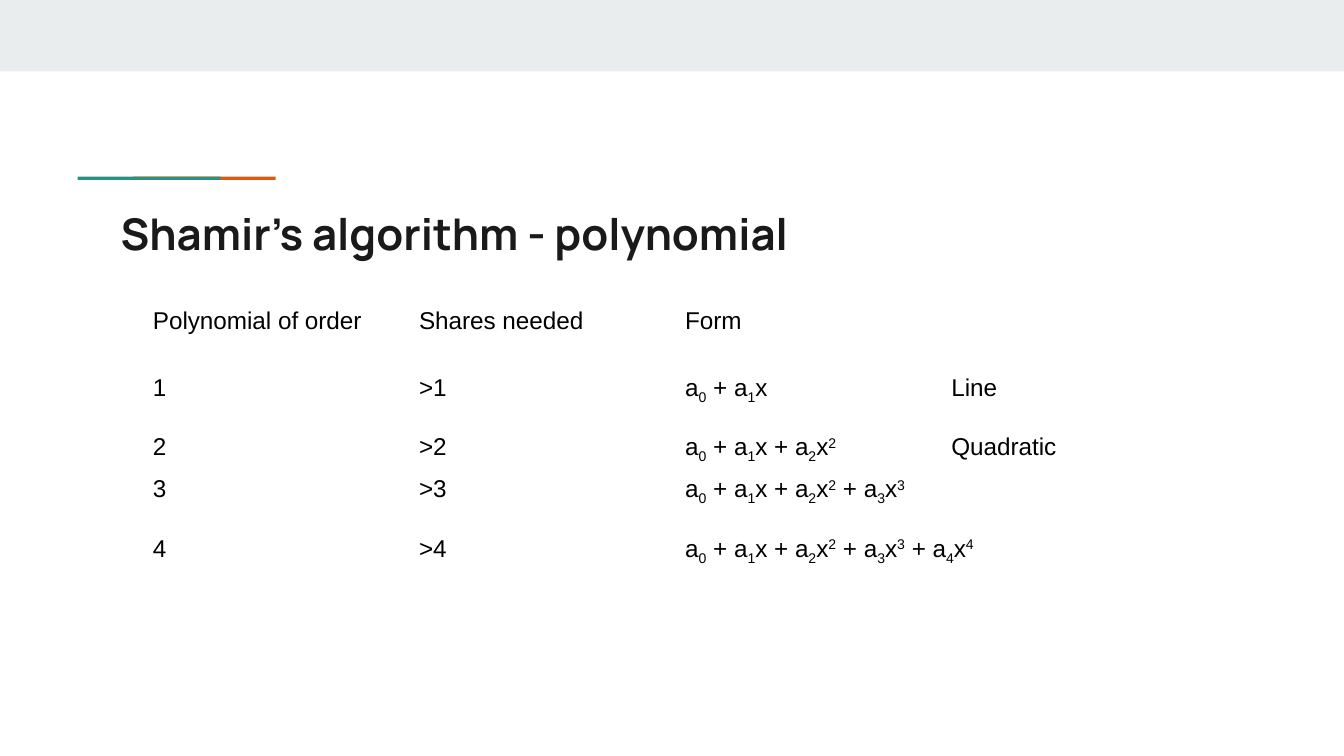
from lxml.etree import SubElement
from pptx import Presentation
from pptx.dml.color import RGBColor
from pptx.enum.shapes import MSO_SHAPE
from pptx.oxml.ns import qn
from pptx.util import Cm, Pt

WHITE = RGBColor(0xFF, 0xFF, 0xFF)
BLACK = RGBColor(0, 0, 0)
INK = RGBColor(0x1A, 0x1A, 0x1A)
GREY = RGBColor(0xE9, 0xED, 0xEE)
TEAL = RGBColor(0x1A, 0x99, 0x88)
ORANGE = RGBColor(0xEB, 0x56, 0x00)

TITLE = {"name": "Manrope", "size": Pt(23.4), "bold": True}
BODY = {"name": "Arial", "size": Pt(13)}
INSETS = {"margin_left": Cm(0.25), "margin_right": Cm(0.25),
          "margin_top": Cm(0.25), "margin_bottom": Cm(0.25)}
PLAIN = {"first_row": False, "horz_banding": False}
SUB, SUPER = -25000, 30000
COLS = 4


def apply(item, form):
    for key, value in form.items():
        setattr(item, key, value)


def add_run(para, text, form, color, base=0):
    run = para.add_run()
    run.text = text
    apply(run.font, form)
    run.font.color.rgb = color
    if base:
        run.font._element.set("baseline", str(base))


def add_bar(slide, left, top, width, height, color):
    bar = slide.shapes.add_shape(MSO_SHAPE.RECTANGLE, Cm(left), Cm(top),
                                 Cm(width), Cm(height))
    bar.shadow.inherit = False
    bar.fill.solid()
    bar.fill.fore_color.rgb = color
    bar.line.fill.background()


def add_title(slide, text):
    box = slide.shapes.add_textbox(Cm(2.03), Cm(3.66), Cm(21.36), Cm(1.5))
    frame = box.text_frame
    frame.word_wrap = True
    apply(frame, INSETS)
    add_run(frame.paragraphs[0], text, TITLE, INK)


def add_edges(cell):
    props = cell._tc.get_or_add_tcPr()
    for side in ("lnL", "lnR", "lnT", "lnB"):
        line = SubElement(props, qn(f"a:{side}"), w=str(Pt(0.75)))
        fill = SubElement(line, qn("a:solidFill"))
        SubElement(fill, qn("a:srgbClr"), val=str(WHITE))


def polynomial(order):
    """Return the (text, baseline) parts of a polynomial of this order."""
    parts = [("a", 0), ("0", SUB)]
    for power in range(1, order + 1):
        parts += [(" + a", 0), (str(power), SUB), ("x", 0)]
        if power > 1:
            parts.append((str(power), SUPER))
    return parts


def order_row(order, label=""):
    return [[(str(order), 0)], [(f">{order}", 0)], polynomial(order),
            [(label, 0)] if label else []]


def add_grid(slide, top, rows):
    height = 1.07
    frame = slide.shapes.add_table(len(rows), COLS, Cm(2.64), Cm(top),
                                   Cm(5.03 * COLS), Cm(height * len(rows)))
    table = frame.table
    apply(table, PLAIN)
    for r, row in enumerate(rows):
        table.rows[r].height = Cm(height)
        for c, parts in enumerate(row):
            cell = table.cell(r, c)
            apply(cell, INSETS)
            add_edges(cell)
            cell.fill.background()
            for text, base in parts:
                add_run(cell.text_frame.paragraphs[0], text, BODY, BLACK, base)
    return table


def main():
    deck = Presentation()
    deck.slide_width, deck.slide_height = Cm(25.4), Cm(14.29)
    slide = deck.slides.add_slide(deck.slide_layouts[6])

    add_bar(slide, 0, 0, 25.4, 1.35, GREY)
    add_bar(slide, 2.51, 3.34, 2.7, 0.06, ORANGE)
    add_bar(slide, 1.47, 3.34, 2.7, 0.06, TEAL)
    add_title(slide, "Shamir’s algorithm - polynomial")

    heads = [[(text, 0)] for text in
             ("Polynomial of order", "Shares needed", "Form")] + [[]]
    add_grid(slide, 5.56, [heads, order_row(1, "Line"),
                           order_row(2, "Quadratic")])
    higher = add_grid(slide, 8.74, [order_row(3), order_row(4)])
    for r in range(2):
        higher.cell(r, 2).merge(higher.cell(r, 3))

    deck.save("out.pptx")


if __name__ == "__main__":
    main()
